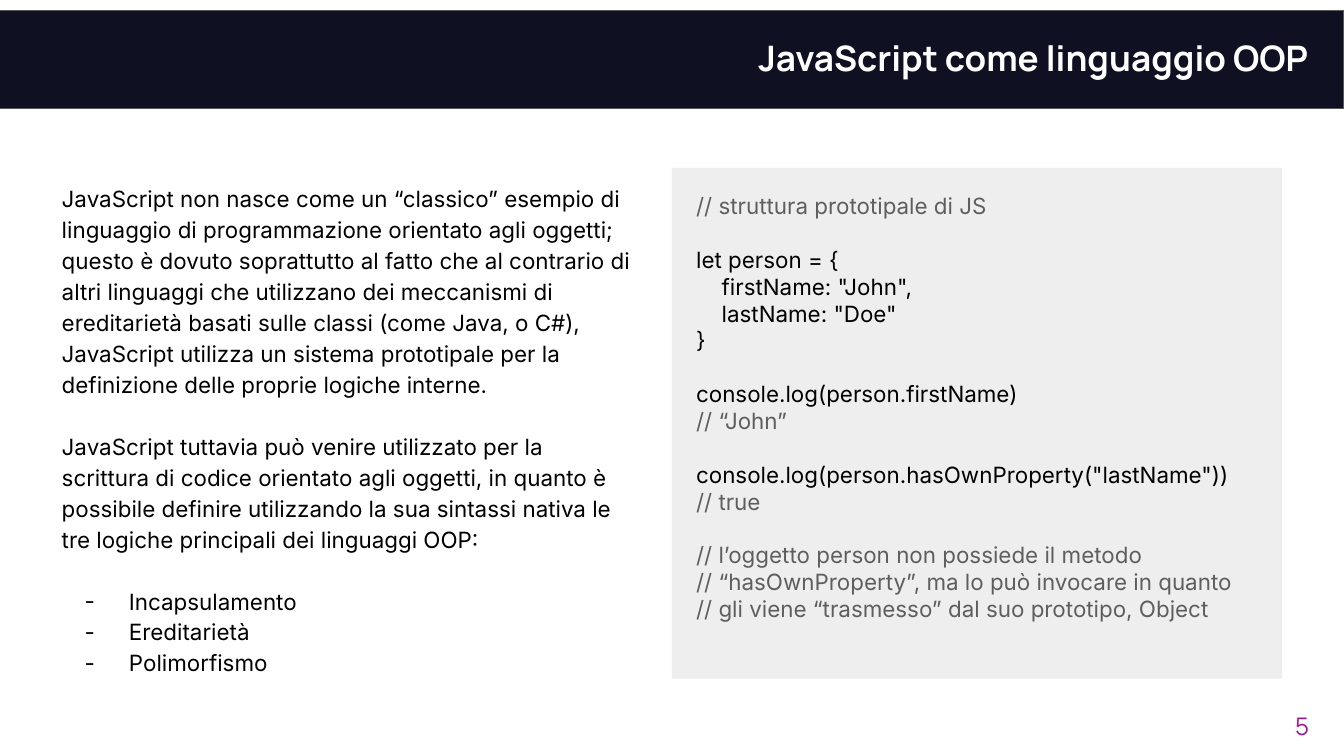
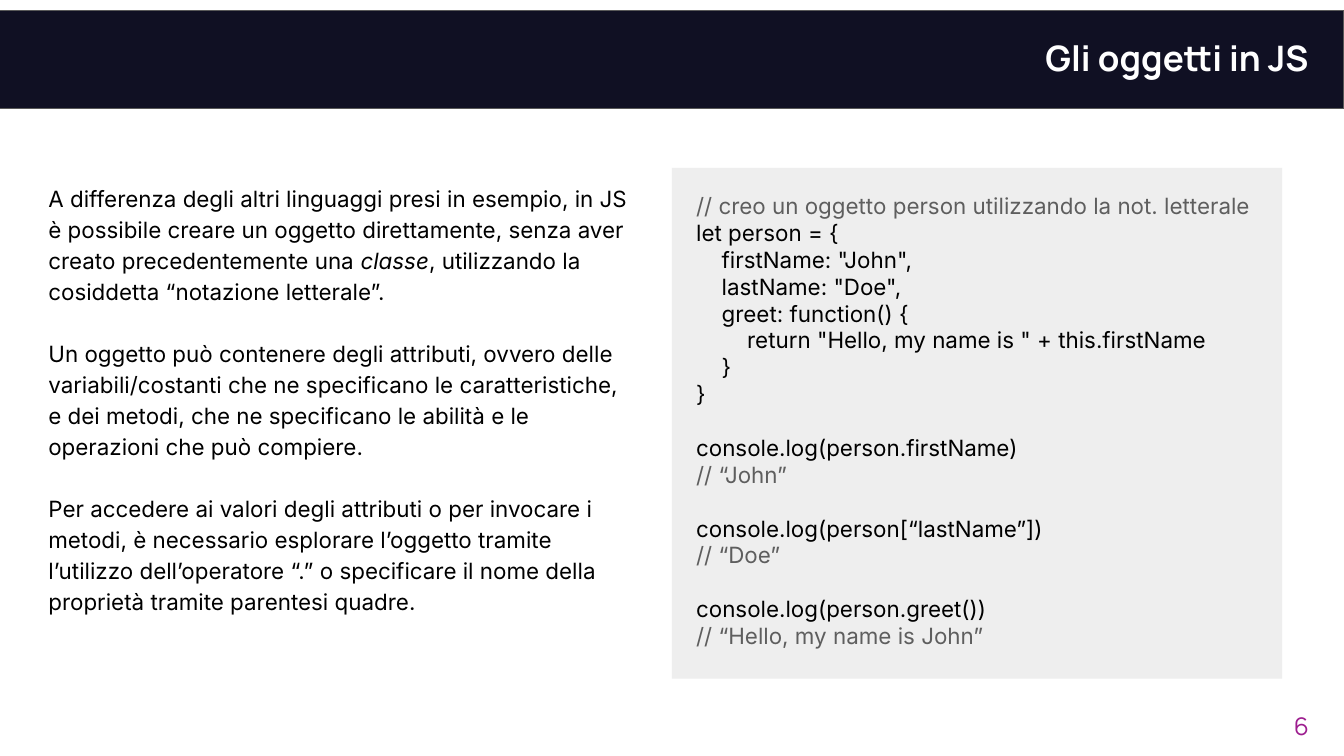
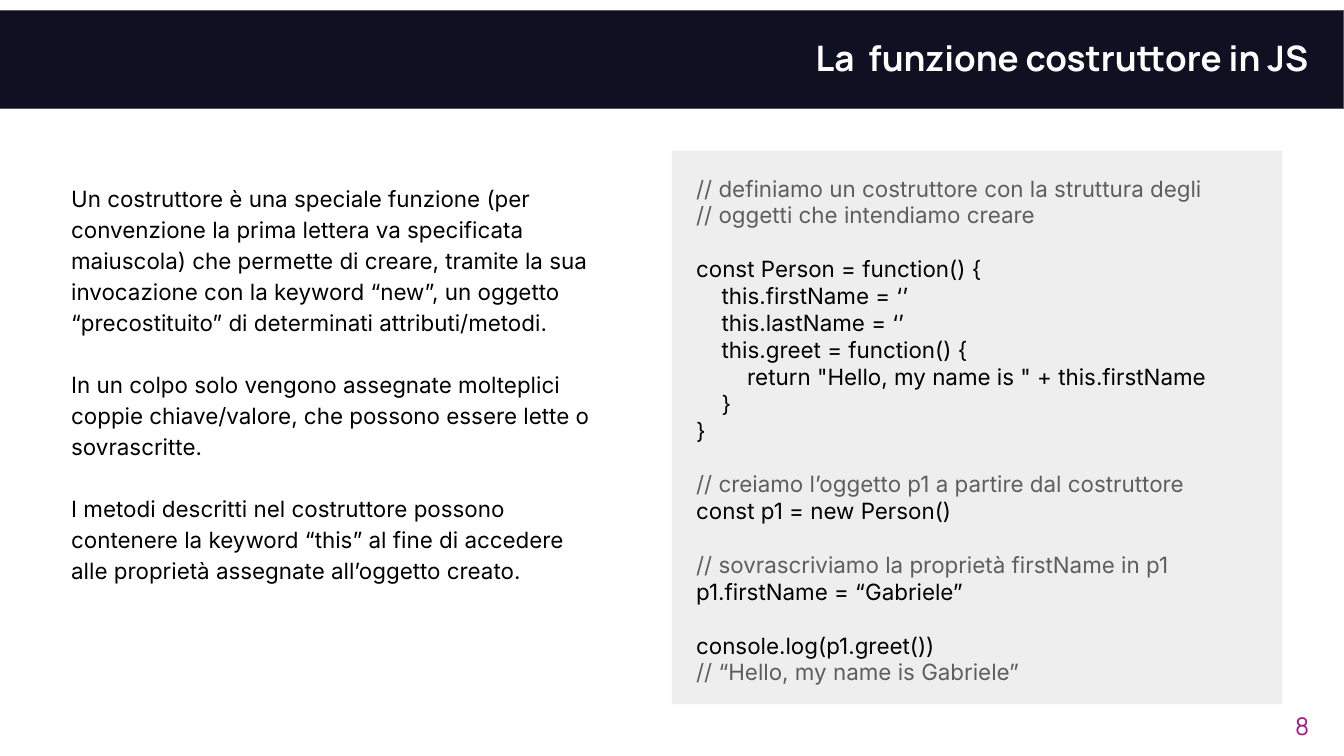
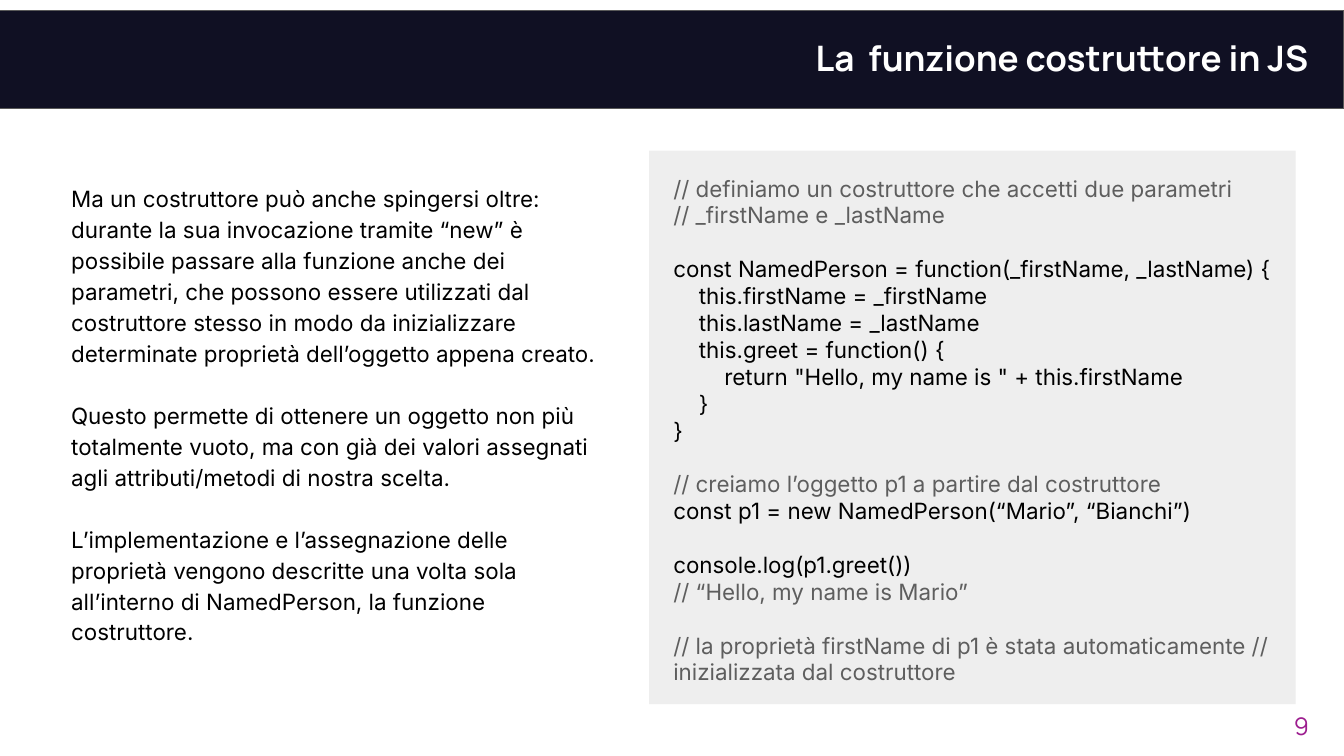
import lxml.etree
import pptx
import pptx.dml.color
import pptx.enum.shapes
import pptx.enum.text
import pptx.oxml.ns
import pptx.util

Inches = pptx.util.Inches
Pt = pptx.util.Pt
ALIGN = pptx.enum.text.PP_ALIGN

TOPICS = [
    {
        "title": "JavaScript come linguaggio OOP",
        "number": 5,
        "body_at": (0.46, 1.25, 4.34, 3.95),
        "code_at": (5, 1.25, 4.54, 3.8),
        "body": [
            "JavaScript non nasce come un “classico” esempio di linguaggio di programmazione "
            "orientato agli oggetti; questo è dovuto soprattutto al fatto che al contrario di "
            "altri linguaggi che utilizzano dei meccanismi di ereditarietà basati sulle classi "
            "(come Java, o C#), JavaScript utilizza un sistema prototipale per la definizione "
            "delle proprie logiche interne.",
            "JavaScript tuttavia può venire utilizzato per la scrittura di codice orientato agli "
            "oggetti, in quanto è possibile definire utilizzando la sua sintassi nativa le tre "
            "logiche principali dei linguaggi OOP:",
        ],
        "bullets": ["Incapsulamento", "Ereditarietà", "Polimorfismo"],
        "code": """// struttura prototipale di JS

let person = {
    firstName: "John",
    lastName: "Doe"
}

console.log(person.firstName)
// “John”

console.log(person.hasOwnProperty("lastName"))
// true

// l’oggetto person non possiede il metodo
// “hasOwnProperty”, ma lo può invocare in quanto
// gli viene “trasmesso” dal suo prototipo, Object""",
    },
    {
        "title": "Gli oggetti in JS",
        "number": 6,
        "body_at": (0.36, 1.25, 4.42, 3.95),
        "code_at": (5, 1.25, 4.54, 3.8),
        "body": [
            "A differenza degli altri linguaggi presi in esempio, in JS è possibile creare un "
            "oggetto direttamente, senza aver creato precedentemente una *classe*, utilizzando "
            "la cosiddetta “notazione letterale”.",
            "Un oggetto può contenere degli attributi, ovvero delle variabili/costanti che ne "
            "specificano le caratteristiche, e dei metodi, che ne specificano le abilità e le "
            "operazioni che può compiere.",
            "Per accedere ai valori degli attributi o per invocare i metodi, è necessario "
            "esplorare l’oggetto tramite l’utilizzo dell’operatore “.” o specificare il nome "
            "della proprietà tramite parentesi quadre.",
        ],
        "code": """// creo un oggetto person utilizzando la not. letterale
let person = {
    firstName: "John",
    lastName: "Doe",
    greet: function() {
        return "Hello, my name is " + this.firstName
    }
}

console.log(person.firstName)
// “John”

console.log(person[“lastName”])
// “Doe”

console.log(person.greet())
// “Hello, my name is John”""",
    },
    {
        "title": "La  funzione costruttore in JS",
        "number": 8,
        "body_at": (0.53, 1.25, 4.03, 3.95),
        "code_at": (5, 1.12, 4.54, 4.12),
        "body": [
            "Un costruttore è una speciale funzione (per convenzione la prima lettera va "
            "specificata maiuscola) che permette di creare, tramite la sua invocazione con la "
            "keyword “new”, un oggetto “precostituito” di determinati attributi/metodi.",
            "In un colpo solo vengono assegnate molteplici coppie chiave/valore, che possono "
            "essere lette o sovrascritte.",
            "I metodi descritti nel costruttore possono contenere la keyword “this” al fine di "
            "accedere alle proprietà assegnate all’oggetto creato.",
        ],
        "code": """// definiamo un costruttore con la struttura degli
// oggetti che intendiamo creare

const Person = function() {
    this.firstName = ‘’
    this.lastName = ‘’
    this.greet = function() {
        return "Hello, my name is " + this.firstName
    }
}

// creiamo l’oggetto p1 a partire dal costruttore
const p1 = new Person()

// sovrascriviamo la proprietà firstName in p1
p1.firstName = “Gabriele”

console.log(p1.greet())
// “Hello, my name is Gabriele”""",
    },
    {
        "title": "La  funzione costruttore in JS",
        "number": 9,
        "body_at": (0.53, 1.25, 4.03, 3.95),
        "code_at": (4.83, 1.12, 4.81, 4.12),
        "body": [
            "Ma un costruttore può anche spingersi oltre: durante la sua invocazione tramite "
            "“new” è possibile passare alla funzione anche dei parametri, che possono essere "
            "utilizzati dal costruttore stesso in modo da inizializzare determinate proprietà "
            "dell’oggetto appena creato.",
            "Questo permette di ottenere un oggetto non più totalmente vuoto, ma con già dei "
            "valori assegnati agli attributi/metodi di nostra scelta.",
            "L’implementazione e l’assegnazione delle proprietà vengono descritte una volta sola "
            "all’interno di NamedPerson, la funzione costruttore.",
        ],
        "code": """// definiamo un costruttore che accetti due parametri
// _firstName e _lastName

const NamedPerson = function(_firstName, _lastName) {
    this.firstName = _firstName
    this.lastName = _lastName
    this.greet = function() {
        return "Hello, my name is " + this.firstName
    }
}

// creiamo l’oggetto p1 a partire dal costruttore
const p1 = new NamedPerson(“Mario”, “Bianchi”)

console.log(p1.greet())
// “Hello, my name is Mario”

// la proprietà firstName di p1 è stata automaticamente // inizializzata dal costruttore""",
    },
]


def color(value):
    return pptx.dml.color.RGBColor.from_string(value)


def inches(lengths):
    return [Inches(length) for length in lengths]


class Lesson:
    HEADING_FONT, TEXT_FONT = "Manrope", "Inter"
    BAND, BAND_LINE, WHITE = "101023", "595959", "FFFFFF"
    INK, COMMENT, PANEL, ACCENT = "000000", "5E5E5E", "EEEEEE", "9D1D8F"
    TEXT_SIZE, BODY_GAP, CODE_GAP = 12, 16.7, 14.4
    CODE_INDENT = 0.19

    def __init__(self):
        self.deck = pptx.Presentation()
        self.deck.slide_width = Inches(10)
        self.deck.slide_height = Inches(10) * 9 // 16
        self.page = None

    def add_page(self, title):
        self.page = self.deck.slides.add_slide(self.deck.slide_layouts[5])
        heading = self.page.shapes.title
        heading.left, heading.top, heading.width, heading.height = inches((4.45, 0.27, 5.29, 0.35))
        frame = self.frame(heading, (0.1, 0, 0, 0))
        para = self.para(frame, align=ALIGN.RIGHT)
        self.span(para, title, self.WHITE, 18.8, self.HEADING_FONT, bold=True)
        band = self.rectangle((-0.01, 0.08, 10.01, 0.73), self.BAND)
        band.line.color.rgb = color(self.BAND_LINE)
        band.line.width = Pt(0.75)
        heading.element.addprevious(band.element)

    def rectangle(self, place, fill):
        box = self.page.shapes.add_shape(pptx.enum.shapes.MSO_SHAPE.RECTANGLE, *inches(place))
        box.shadow.inherit = False
        box.fill.solid()
        box.fill.fore_color.rgb = color(fill)
        box.line.fill.background()
        return box

    def frame(self, box, insets):
        frame = box.text_frame
        frame.word_wrap = True
        frame.auto_size = pptx.enum.text.MSO_AUTO_SIZE.NONE
        frame.vertical_anchor = pptx.enum.text.MSO_ANCHOR.TOP
        (frame.margin_left, frame.margin_top,
         frame.margin_right, frame.margin_bottom) = inches(insets)
        return frame

    def para(self, frame, gap=0, spacing=1.0, align=ALIGN.LEFT):
        para = frame.paragraphs[0]
        if para.runs:
            para = frame.add_paragraph()
        para.alignment = align
        para.line_spacing = spacing
        para.space_before = Pt(gap)
        return para

    def span(self, para, text, ink, size=TEXT_SIZE, font=TEXT_FONT, bold=False, italic=False):
        span = para.add_run()
        span.text = text
        span.font.name = font
        span.font.size = Pt(size)
        span.font.bold = bold
        span.font.italic = italic
        span.font.color.rgb = color(ink)

    def indent(self, para, left, first=0):
        properties = para._p.get_or_add_pPr()
        properties.set("marL", str(Inches(left)))
        properties.set("indent", str(Inches(first)))
        return properties

    def bullet(self, para):
        properties = self.indent(para, 0.5, -0.33)
        qn = pptx.oxml.ns.qn
        ink = lxml.etree.SubElement(properties, qn("a:buClr"))
        lxml.etree.SubElement(ink, qn("a:srgbClr")).set("val", self.INK)
        lxml.etree.SubElement(properties, qn("a:buFont")).set("typeface", self.TEXT_FONT)
        lxml.etree.SubElement(properties, qn("a:buChar")).set("char", "-")

    def page_number(self, number):
        box = self.page.shapes.add_textbox(*inches((9.14, 5.19, 0.6, 0.43)))
        para = self.para(self.frame(box, (0.1, 0.1, 0, 0.1)), align=ALIGN.RIGHT)
        self.span(para, str(number), self.ACCENT, 13, self.HEADING_FONT)

    def body(self, place, paragraphs, bullets):
        box = self.page.shapes.add_textbox(*inches(place))
        frame = self.frame(box, (0, 0.1, 0.1, 0.1))
        for index, text in enumerate(paragraphs):
            para = self.para(frame, self.BODY_GAP if index else 0, 1.15)
            for part, words in enumerate(text.split("*")):
                self.span(para, words, self.INK, italic=part % 2 == 1)
        for index, text in enumerate(bullets):
            para = self.para(frame, 0 if index else self.BODY_GAP, 1.15)
            self.bullet(para)
            self.span(para, text, self.INK)

    def code(self, place, source):
        frame = self.frame(self.rectangle(place, self.PANEL), [0.18] * 4)
        gap = 0
        for line in source.splitlines():
            if not line:
                gap = self.CODE_GAP
                continue
            text = line.lstrip()
            para = self.para(frame, gap)
            self.indent(para, (len(line) - len(text)) // 4 * self.CODE_INDENT)
            self.span(para, text, self.COMMENT if text.startswith("//") else self.INK)
            gap = 0


def main():
    lesson = Lesson()
    for topic in TOPICS:
        lesson.add_page(topic["title"])
        lesson.page_number(topic["number"])
        lesson.body(topic["body_at"], topic["body"], topic.get("bullets", []))
        lesson.code(topic["code_at"], topic["code"])
    lesson.deck.save("out.pptx")


if __name__ == "__main__":
    main()
